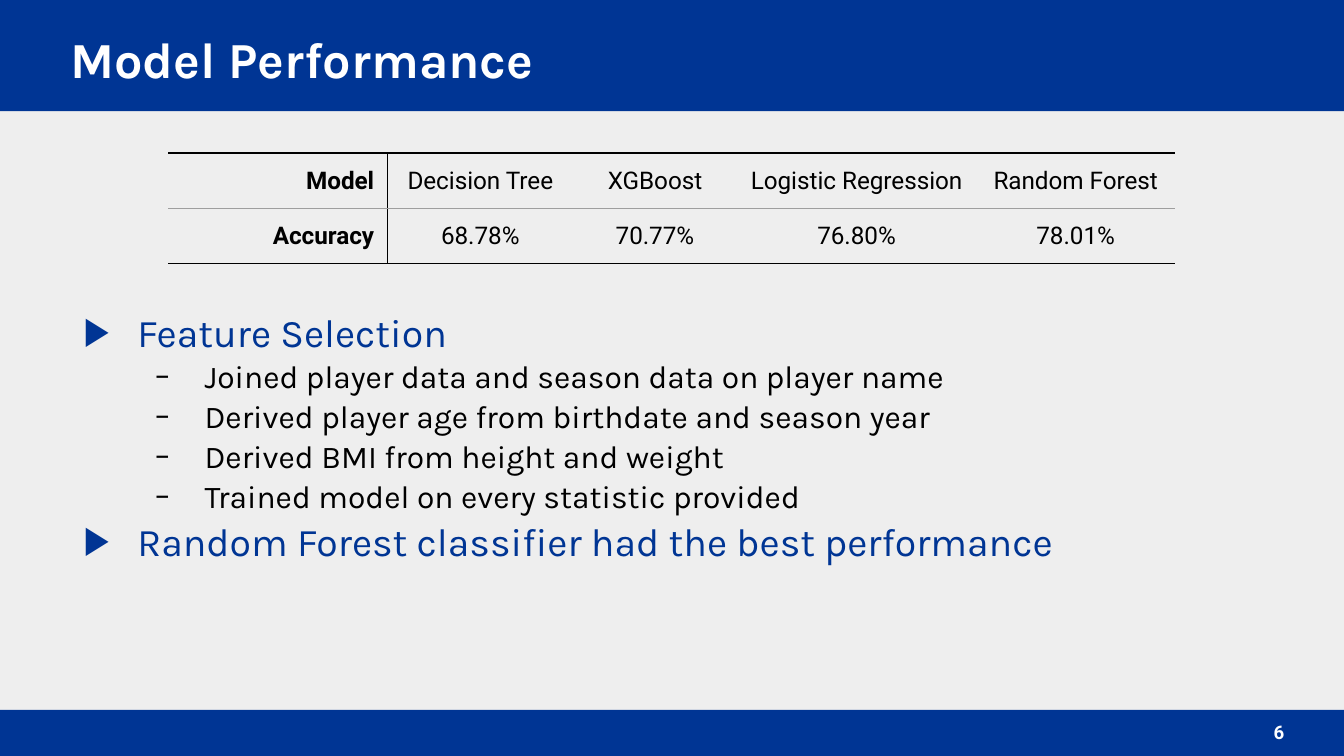
from dataclasses import dataclass

from lxml import etree
from pptx import Presentation
from pptx.dml.color import RGBColor
from pptx.enum.shapes import MSO_SHAPE
from pptx.enum.text import MSO_ANCHOR, MSO_AUTO_SIZE, PP_ALIGN
from pptx.oxml.ns import qn
from pptx.util import Pt

RECTANGLE = MSO_SHAPE.RECTANGLE
TOP, MIDDLE, BOTTOM = MSO_ANCHOR.TOP, MSO_ANCHOR.MIDDLE, MSO_ANCHOR.BOTTOM
LEFT, CENTER, RIGHT = PP_ALIGN.LEFT, PP_ALIGN.CENTER, PP_ALIGN.RIGHT
NO_AUTOFIT = MSO_AUTO_SIZE.NONE


@dataclass(frozen=True)
class Theme:
    blue: str = "003594"
    background: str = "EEEEEE"
    white: str = "FFFFFF"
    black: str = "000000"
    grey: str = "9E9E9E"
    heading_font: str = "Karla"
    table_font: str = "Roboto"
    title_size: float = 27
    topic_size: float = 21
    detail_size: float = 17
    table_size: float = 13
    number_size: float = 10
    inset: float = 7.2


theme = Theme()


def format_text(paragraph, font_name, size, color, bold=False, alignment=LEFT):
    paragraph.alignment = alignment
    for run in paragraph.runs:
        run.font.name = font_name
        run.font.size = Pt(size)
        run.font.bold = bold
        run.font.color.rgb = RGBColor.from_string(color)


def set_frame(text_frame, anchor):
    text_frame.word_wrap = True
    text_frame.auto_size = NO_AUTOFIT
    text_frame.vertical_anchor = anchor
    text_frame.margin_left = text_frame.margin_right = Pt(theme.inset)
    text_frame.margin_top = text_frame.margin_bottom = Pt(theme.inset)


presentation = Presentation()
presentation.slide_width = Pt(720)
presentation.slide_height = Pt(405)
slide = presentation.slides.add_slide(presentation.slide_layouts[5])
slide.background.fill.solid()
slide.background.fill.fore_color.rgb = RGBColor.from_string(theme.background)

title = slide.shapes.title
for top, height in [(0, 59.5), (380.3, 24.7)]:
    band = slide.shapes.add_shape(RECTANGLE, Pt(0), Pt(top), Pt(720), Pt(height))
    band.shadow.inherit = False
    band.fill.solid()
    band.fill.fore_color.rgb = RGBColor.from_string(theme.blue)
    band.line.fill.background()
    title.element.addprevious(band.element)

title.left, title.top, title.width, title.height = Pt(30.5), Pt(13), Pt(665), Pt(36)
title.text_frame.text = "Model Performance"
set_frame(title.text_frame, MIDDLE)
format_text(title.text_frame.paragraphs[0], theme.heading_font, theme.title_size,
            theme.white, bold=True)

page_number = slide.shapes.add_textbox(Pt(652), Pt(379.7), Pt(43.2), Pt(24.7))
page_number.text_frame.text = "6"
set_frame(page_number.text_frame, MIDDLE)
format_text(page_number.text_frame.paragraphs[0], theme.table_font, theme.number_size,
            theme.white, bold=True, alignment=RIGHT)

bullet_styles = [
    ("▶", 36, -28.8, theme.topic_size, theme.blue),
    ("–", 72, -26.6, theme.detail_size, theme.black),
]
bullets = [
    (0, "Feature Selection"),
    (1, "Joined player data and season data on player name"),
    (1, "Derived player age from birthdate and season year"),
    (1, "Derived BMI from height and weight"),
    (1, "Trained model on every statistic provided"),
    (0, "Random Forest classifier had the best performance"),
]
body = slide.shapes.add_textbox(Pt(30.5), Pt(156.5), Pt(659.5), Pt(199.5))
set_frame(body.text_frame, TOP)
body.text_frame.text = "\n".join(text for level, text in bullets)
for paragraph, (level, text) in zip(body.text_frame.paragraphs, bullets):
    symbol, margin, indent, size, color = bullet_styles[level]
    paragraph.level = level
    properties = paragraph._p.get_or_add_pPr()
    properties.set("marL", str(Pt(margin)))
    properties.set("indent", str(Pt(indent)))
    bullet_color = etree.SubElement(properties, qn("a:buClr"))
    etree.SubElement(bullet_color, qn("a:srgbClr"), val=color)
    etree.SubElement(properties, qn("a:buFont"), typeface=theme.heading_font)
    etree.SubElement(properties, qn("a:buChar"), char=symbol)
    paragraph.line_spacing = 1.05
    format_text(paragraph, theme.heading_font, size, color)

rows = [
    ["Model", "Decision Tree", "XGBoost", "Logistic Regression", "Random Forest"],
    ["Accuracy", "68.78%", "70.77%", "76.80%", "78.01%"],
]
column_widths = [117.6, 99.4, 87.8, 128.2, 106.6]
row_height = 29.7
table = slide.shapes.add_table(len(rows), len(column_widths), Pt(90), Pt(82),
                               Pt(sum(column_widths)), Pt(row_height * len(rows))).table
table.first_row = False
table.horz_banding = False
for column, width in zip(table.columns, column_widths):
    column.width = Pt(width)

for row_index, row in enumerate(rows):
    table.rows[row_index].height = Pt(row_height)
    for column_index, text in enumerate(row):
        is_label = column_index == 0
        cell = table.cell(row_index, column_index)
        cell.text_frame.text = text
        cell.vertical_anchor = BOTTOM if row_index == 0 else TOP
        cell.margin_left = cell.margin_right = Pt(theme.inset)
        cell.margin_top = cell.margin_bottom = Pt(theme.inset)
        format_text(cell.text_frame.paragraphs[0], theme.table_font, theme.table_size,
                    theme.black, bold=is_label, alignment=RIGHT if is_label else CENTER)

        borders = {
            "a:lnL": theme.black if column_index == 1 else None,
            "a:lnR": theme.black if is_label else None,
            "a:lnT": theme.black if row_index == 0 else theme.grey,
            "a:lnB": theme.grey if row_index == 0 else theme.black,
        }
        cell_properties = cell._tc.get_or_add_tcPr()
        for tag, color in borders.items():
            border = etree.SubElement(cell_properties, qn(tag), w=str(Pt(0.75)))
            if color:
                fill = etree.SubElement(border, qn("a:solidFill"))
                etree.SubElement(fill, qn("a:srgbClr"), val=color)
            else:
                etree.SubElement(border, qn("a:noFill"))
        cell.fill.background()

presentation.save("out.pptx")
